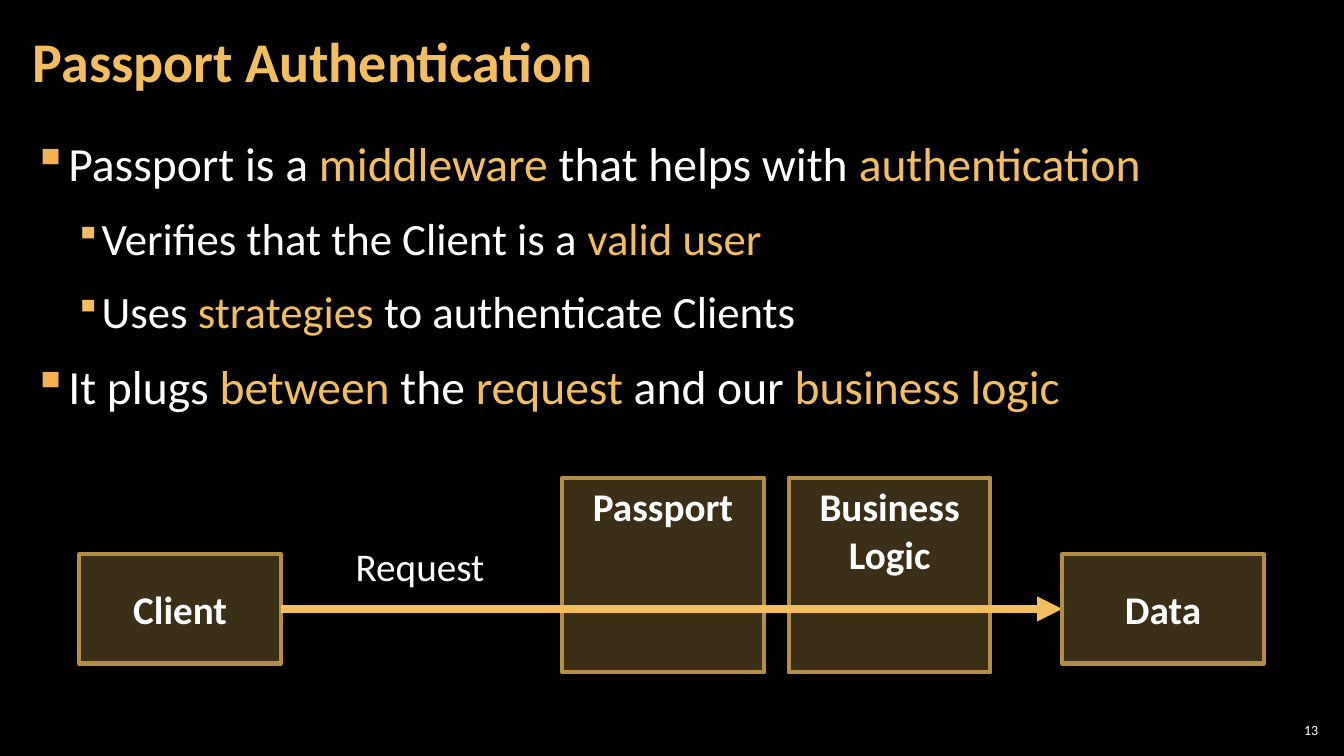
from dataclasses import dataclass

from lxml.etree import SubElement
from pptx import Presentation
from pptx.dml.color import RGBColor as RGB
from pptx.enum.shapes import MSO_CONNECTOR as CONN, MSO_SHAPE as SHAPE
from pptx.enum.text import MSO_ANCHOR as ANCHOR, PP_ALIGN as ALIGN
from pptx.oxml.ns import qn
from pptx.util import Cm, Pt


@dataclass(frozen=True)
class Theme:
    font: str = "Calibri"
    back: str = "000000"
    text: str = "FFFFFF"
    accent: str = "F3BE60"
    marker: str = "F2B254"
    border: str = "B48D47"
    title: int = 40
    levels: tuple = (34, 32)
    label: int = 28
    small: int = 10


class Deck:
    def __init__(self, theme):
        self.t = theme
        self.prs = Presentation()
        self.prs.slide_width, self.prs.slide_height = Cm(33.87), Cm(19.05)
        self.s = self.prs.slides.add_slide(self.prs.slide_layouts[6])
        fill = self.s.background.fill
        fill.solid()
        fill.fore_color.rgb = RGB.from_string(theme.back)

    def style(self, r, size, color, bold=False):
        f = r.font
        f.name, f.size, f.bold = self.t.font, Pt(size), bold
        f.color.rgb = RGB.from_string(color)

    def frame(self, box, inset):
        tf = self.s.shapes.add_textbox(*map(Cm, box)).text_frame
        tf.word_wrap = True
        tf.margin_left = tf.margin_right = Cm(inset)
        tf.margin_top = tf.margin_bottom = Cm(0.1)
        return tf

    def text(self, box, text, size, color, bold=False, align=ALIGN.LEFT,
             anchor=ANCHOR.TOP, inset=0.25, spacing=1.0):
        tf = self.frame(box, inset)
        tf.vertical_anchor = anchor
        tf.text = text
        p = tf.paragraphs[0]
        p.alignment, p.line_spacing = align, spacing
        self.style(p.runs[0], size, color, bold)

    def bullets(self, box, items):
        """Parts of an item between asterisks take the accent colour."""
        t = self.t
        tf = self.frame(box, 0.3)
        for i, (level, text) in enumerate(items):
            p = tf.paragraphs[0] if i == 0 else tf.add_paragraph()
            p.level = level
            self.bullet(p, level)
            p.line_spacing = 1.05
            p.space_before, p.space_after = Pt(6 if i else 0), Pt(6)
            for j, part in enumerate(text.split("*")):
                if part:
                    r = p.add_run()
                    r.text = part
                    self.style(r, t.levels[level], t.accent if j % 2 else t.text)

    def bullet(self, p, level):
        color, size, margin, hang = ((self.t.marker, 100, 0.84, 0.84),
                                     (self.t.accent, 80, 1.7, 0.64))[level]
        pPr = p._p.get_or_add_pPr()
        pPr.set("marL", str(Cm(margin)))
        pPr.set("indent", str(-Cm(hang)))
        SubElement(SubElement(pPr, qn("a:buClr")), qn("a:srgbClr"), val=color)
        SubElement(pPr, qn("a:buSzPct"), val=str(size * 1000))
        SubElement(pPr, qn("a:buChar"), char="▪")

    def node(self, box, text, anchor):
        t = self.t
        sp = self.s.shapes.add_shape(SHAPE.RECTANGLE, *map(Cm, box))
        sp.shadow.inherit = False
        sp.fill.solid()
        sp.fill.fore_color.rgb = RGB.from_string(t.accent)
        clr = sp._element.spPr.find(qn("a:solidFill")).find(qn("a:srgbClr"))
        SubElement(clr, qn("a:alpha"), val="25000")
        sp.line.color.rgb = RGB.from_string(t.border)
        sp.line.width = Pt(3)
        tf = sp.text_frame
        tf.word_wrap = True
        tf.vertical_anchor = anchor
        tf.text = text
        p = tf.paragraphs[0]
        p.alignment = ALIGN.CENTER
        self.style(p.runs[0], t.label, t.text, True)

    def arrow(self, x1, x2, y):
        c = self.s.shapes.add_connector(CONN.STRAIGHT, Cm(x1), Cm(y), Cm(x2), Cm(y))
        c.line.color.rgb = RGB.from_string(self.t.accent)
        c.line.width = Pt(6)
        SubElement(c.line._get_or_add_ln(), qn("a:tailEnd"), type="triangle")
        SubElement(c._element.spPr, qn("a:effectLst"))


def main():
    t = Theme()
    d = Deck(t)

    # Title, bullets and page number
    d.text((0.53, 0.1, 26.6, 3.07), "Passport Authentication", t.title, t.accent,
           bold=True, anchor=ANCHOR.MIDDLE, inset=0.3, spacing=0.9)
    d.bullets((0.53, 3.2, 32.8, 15.47), [
        (0, "Passport is a *middleware* that helps with *authentication*"),
        (1, "Verifies that the Client is a *valid user*"),
        (1, "Uses *strategies* to authenticate Clients"),
        (0, "It plugs *between* the *request* and our *business logic*"),
    ])
    d.text((32.13, 18.14, 1.19, 0.53), "13", t.small, t.text,
           align=ALIGN.RIGHT, anchor=ANCHOR.MIDDLE, inset=0.1)

    # Request flow: every box is centred on its row
    width, client_x, data_x = 5.08, 2.0, 26.77
    end_y, end_h, mid_y, mid_h = 13.97, 2.75, 12.04, 4.9
    d.node((client_x, end_y, width, end_h), "Client", ANCHOR.MIDDLE)
    d.text((8.47, 13.56, 4.23, 1.45), "Request", t.label, t.text, align=ALIGN.CENTER)
    for x, name in ((14.17, "Passport"), (19.88, "Business Logic")):
        d.node((x, mid_y, width, mid_h), name, ANCHOR.TOP)
    d.arrow(client_x + width, data_x, end_y + end_h / 2)
    d.node((data_x, end_y, width, end_h), "Data", ANCHOR.MIDDLE)

    d.prs.save("out.pptx")


if __name__ == "__main__":
    main()
